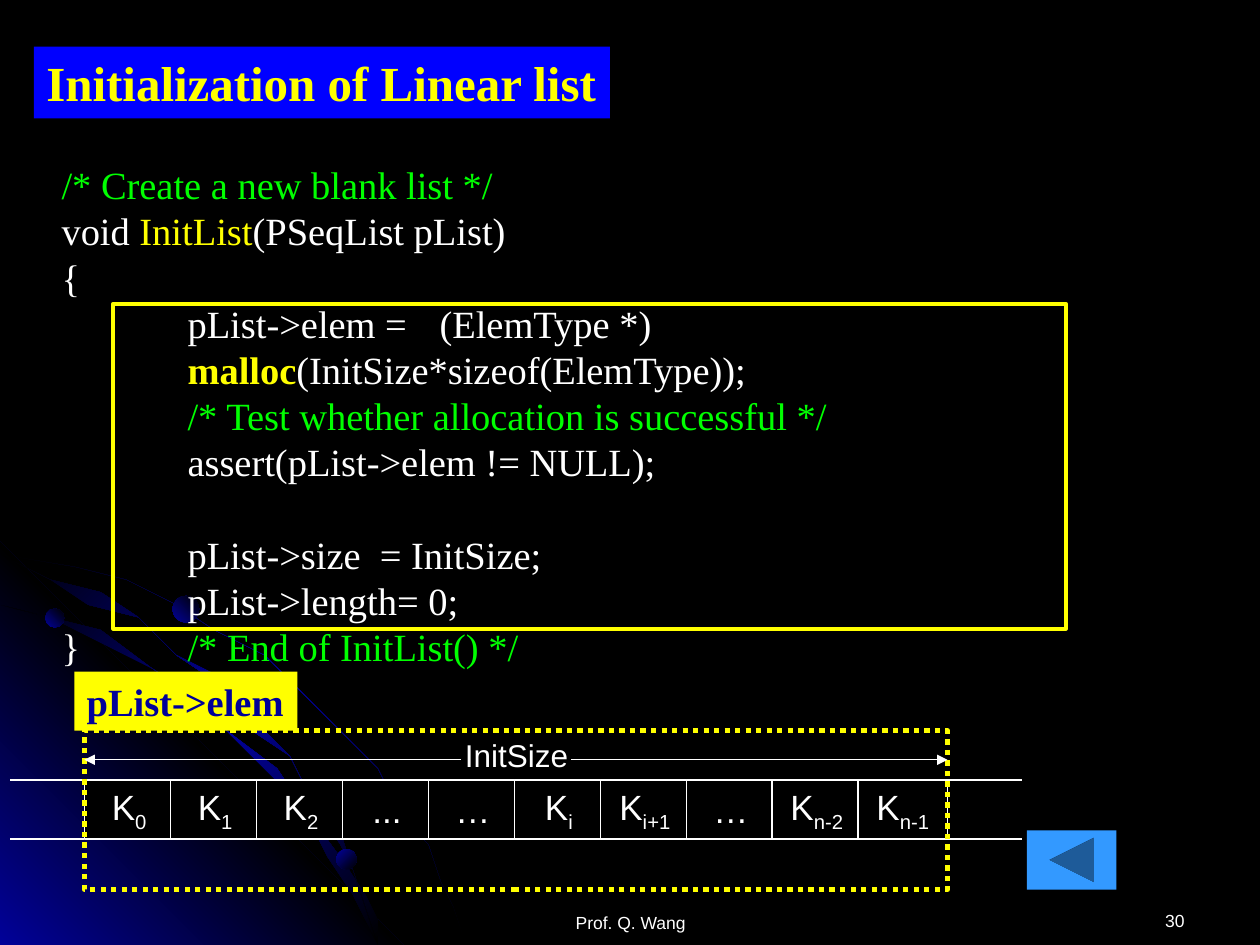
from lxml.etree import SubElement as Sub
from pptx import Presentation
from pptx.dml.color import RGBColor as RGB
from pptx.enum.dml import MSO_LINE as Dash
from pptx.enum.shapes import MSO_CONNECTOR as Conn, MSO_SHAPE as Kind
from pptx.enum.text import MSO_ANCHOR as Anchor, PP_ALIGN as Align
from pptx.oxml.ns import qn
from pptx.util import Inches, Pt

# The slide is a grid of 100 columns by 75 rows.
WIDE, HIGH = Inches(10), Inches(7.5)
UNIT = WIDE // 100
HUES = {"black": "000000", "white": "FFFFFF", "yellow": "FFFF00", "green": "00FF00",
        "blue": "0000FF", "navy": "010199", "sky": "3399FF"}
SERIF, SANS = "Times New Roman", "Arial"
LEAD = Pt(26.4)
GLOW = ("black", "navy", "black")

# Ribbons of light: one edge out, the other edge back, in columns and rows.
ARCS = [
    [(5.7, 44.7), (0, 43.5), (0, 43.8), (5.6, 44.9), (9.7, 46.1), (13.5, 47.8),
     (17.3, 49.9), (20.8, 52.3), (24.1, 54.9), (27.1, 57.9), (29.8, 61.2), (32.3, 64.9),
     (33.7, 67.3), (35, 69.8), (36, 72.3), (37, 74.9), (37.2, 74.9), (36.2, 72.3),
     (35.2, 69.8), (33.9, 67.3), (32.5, 64.8), (30, 61.1), (27.2, 57.8), (24.2, 54.8),
     (20.9, 52.1), (17.4, 49.7), (13.6, 47.7), (9.8, 45.9)],
    [(28.5, 71.4), (29.4, 73.2), (30.1, 74.9), (30.3, 74.9), (29.6, 73), (28.6, 71.2),
     (26.6, 67.6), (24.2, 64), (21.5, 60.6), (18.4, 57.6), (15.2, 54.9), (11.7, 52.6),
     (7.9, 50.5), (4.1, 48.8), (0, 47.5), (0, 47.7), (3.9, 49), (7.7, 50.7),
     (11.5, 52.8), (15, 55.1), (18.3, 57.8), (21.3, 60.8), (24, 64.1), (26.5, 67.7)],
    [(0, 44.2), (0, 44.4), (3.6, 45.7), (7.4, 47.5), (10.9, 49.4), (14.2, 51.8),
     (17.3, 54.4), (20.2, 57.5), (22.7, 60.5), (25.2, 64.1), (26.7, 66.7), (28, 69.4),
     (29.2, 72.2), (30.1, 74.9), (30.3, 74.9), (29.4, 72), (28.2, 69.3), (26.9, 66.5),
     (25.4, 63.9), (22.9, 60.3), (20.4, 57.3), (17.5, 54.3), (14.4, 51.6), (11.1, 49.3),
     (7.6, 47.3), (3.9, 45.5)],
]
WEDGE = [(32.2, 74.9), (0, 74.9), (0, 42.7)]
BEADS = [(3.6, 48.3, 1.5, 315), (26.7, 67.4, 1.6, 45), (13.7, 47.3, 2.1, 315)]

CODE = [
    [("/* Create a new blank list */", "green")],
    [("void ", "white"), ("InitList", "yellow"), ("(PSeqList pList)", "white")],
    [("{", "white")],
    [("\tpList->elem = \t(ElemType *)", "white")],
    [("\t", "white"), ("malloc", "yellow"), ("(InitSize*sizeof(ElemType));", "white")],
    [("\t/* Test whether allocation is successful */", "green")],
    [("\tassert(pList->elem != NULL);", "white")],
    [("\tpList->size  = InitSize;", "white")],
    [("\tpList->length= 0;", "white")],
    [("}\t", "white"), ("/* End of InitList() */", "green")],
]
KEYS = ["0", "1", "2", "...", "…", "i", "i+1", "…", "n-2", "n-1"]


def grid(*cells):
    return [round(cell * UNIT) for cell in cells]


def hue(name):
    return RGB.from_string(HUES[name])


def blend(shape, names, angle):
    """Fill with evenly spaced gradient stops and no outline."""
    shape.shadow.inherit = False
    shape.line.fill.background()
    shape.fill.gradient()
    grad = shape.fill._xPr.find(qn("a:gradFill"))
    stops = grad.find(qn("a:gsLst"))
    for old in list(stops):
        stops.remove(old)
    for i, name in enumerate(names):
        stop = Sub(stops, qn("a:gs"), pos=str(100000 * i // (len(names) - 1)))
        Sub(stop, qn("a:srgbClr"), val=HUES[name])
    grad.find(qn("a:lin")).set("ang", str(angle * 60000))


def ribbon(slide, dots, names, angle):
    pen = slide.shapes.build_freeform(*dots[0], scale=float(UNIT))
    pen.add_line_segments(dots[1:], close=True)
    blend(pen.convert_to_shape(), names, angle)


def block(slide, spot, fill=None, edge=None, width=0.75, kind=Kind.RECTANGLE):
    shape = slide.shapes.add_shape(kind, *grid(*spot))
    shape.shadow.inherit = False
    if fill:
        shape.fill.solid()
        shape.fill.fore_color.rgb = hue(fill)
    else:
        shape.fill.background()
    if edge:
        shape.line.color.rgb = hue(edge)
        shape.line.width = Pt(width)
    else:
        shape.line.fill.background()
    return shape


def style(run, size, name, face, bold=False):
    font = run.font
    font.size, font.name, font.bold = Pt(size), face, bold
    font.color.rgb = hue(name)


def write(shape, text, size, name, face, bold=False, align=Align.LEFT,
          anchor=Anchor.TOP, wrap=False):
    frame = shape.text_frame
    frame.text = text
    frame.word_wrap, frame.vertical_anchor = wrap, anchor
    para = frame.paragraphs[0]
    para.alignment = align
    style(para.runs[0], size, name, face, bold)
    return frame


def label(slide, spot, *args, **more):
    return write(slide.shapes.add_textbox(*grid(*spot)), *args, **more)


def line(slide, start, end, arrow=False):
    link = slide.shapes.add_connector(Conn.STRAIGHT, *grid(*start, *end))
    link.line.color.rgb = hue("white")
    link.line.width = Pt(0.75)
    if arrow:
        Sub(link.line._get_or_add_ln(), qn("a:tailEnd"), type="triangle")
    Sub(link._element.spPr, qn("a:effectLst"))


def scene(slide):
    """Draw the black backdrop with its arcs of light."""
    slide.background.fill.solid()
    slide.background.fill.fore_color.rgb = hue("black")
    ribbon(slide, ARCS[0], GLOW, 45)
    ribbon(slide, WEDGE, ("navy", "black", "navy"), 315)
    for dots in ARCS[1:]:
        ribbon(slide, dots, GLOW, 45)
    for left, top, size, angle in BEADS:
        bead = block(slide, (left, top, size, size), kind=Kind.OVAL)
        blend(bead, ("navy", "black"), angle)


def foot(slide, spot, text, align):
    frame = label(slide, spot, text, 10, "white", SANS, align=align, wrap=True)
    frame.margin_top = Inches(0.21)


def code(slide, spot):
    frame = slide.shapes.add_textbox(*grid(*spot)).text_frame
    frame.word_wrap = True
    for i, parts in enumerate(CODE):
        para = frame.add_paragraph() if i else frame.paragraphs[0]
        tabs = Sub(para._p.get_or_add_pPr(), qn("a:tabLst"))
        for stop in (1, 3):
            Sub(tabs, qn("a:tab"), pos=str(Inches(stop)), algn="l")
        para.line_spacing = LEAD
        if parts[0][0].startswith("\tpList->size"):
            para.space_before = LEAD
        for text, name in parts:
            run = para.add_run()
            run.text = text
            style(run, 22, name, SERIF, text == "malloc")


def cell(slide, spot, key):
    """Draw one list slot: K with a subscript, or dots."""
    dots = key in ("...", "…")
    shape = block(slide, spot, "black", "white")
    frame = write(shape, key if dots else "K", 20, "white", SANS,
                  align=Align.CENTER, anchor=Anchor.MIDDLE)
    if not dots:
        run = frame.paragraphs[0].add_run()
        run.text = key
        style(run, 20, "white", SANS)
        run.font._element.set("baseline", "-25000")


def store(slide):
    """Draw the memory row with its size arrow and pointer label."""
    left, right, top, tall, wide = 6.7, 75.2, 61.9, 4.7, 7.1
    step = (right - left - wide) / (len(KEYS) - 1)
    for i, key in enumerate(KEYS):
        cell(slide, (left + i * step, top, wide, tall), key)
    for end in (left, right + 5.9):
        for row in (top, top + tall):
            line(slide, (end, row), (end - 5.9, row))
    area = block(slide, (left, 58, right - left, 12.6), edge="yellow", width=3)
    area.line.dash_style = Dash.ROUND_DOT
    tag = block(slide, (5.9, 53.3, 17.7, 4.7), "yellow")
    write(tag, "pList->elem", 22, "navy", SERIF, bold=True)
    line(slide, (45.3, 60.3), (right, 60.3), arrow=True)
    line(slide, (36.6, 60.3), (left, 60.3), arrow=True)
    frame = label(slide, (35.2, 57.9, 10.9, 4), "InitSize", 18, "white", SANS)
    frame.margin_left = Inches(0.17)


def main():
    deck = Presentation()
    deck.slide_width, deck.slide_height = WIDE, HIGH
    slide = deck.slides.add_slide(deck.slide_layouts[6])
    scene(slide)
    foot(slide, (71.7, 70.1, 23.3, 5), "30", Align.RIGHT)
    foot(slide, (34.2, 70.3, 31.7, 5), "Prof. Q. Wang", Align.CENTER)
    code(slide, (3.9, 12.3, 92.5, 41.3))
    title = block(slide, (2.7, 3.7, 45.7, 5.7), "blue")
    write(title, "Initialization of Linear list", 28, "yellow", SERIF, bold=True)
    block(slide, (81.5, 65.9, 7.1, 4.7), "sky", kind=Kind.ACTION_BUTTON_BACK_OR_PREVIOUS)
    block(slide, (9, 24.1, 75.6, 25.8), edge="yellow", width=2.25)
    store(slide)
    deck.save("out.pptx")


if __name__ == "__main__":
    main()
